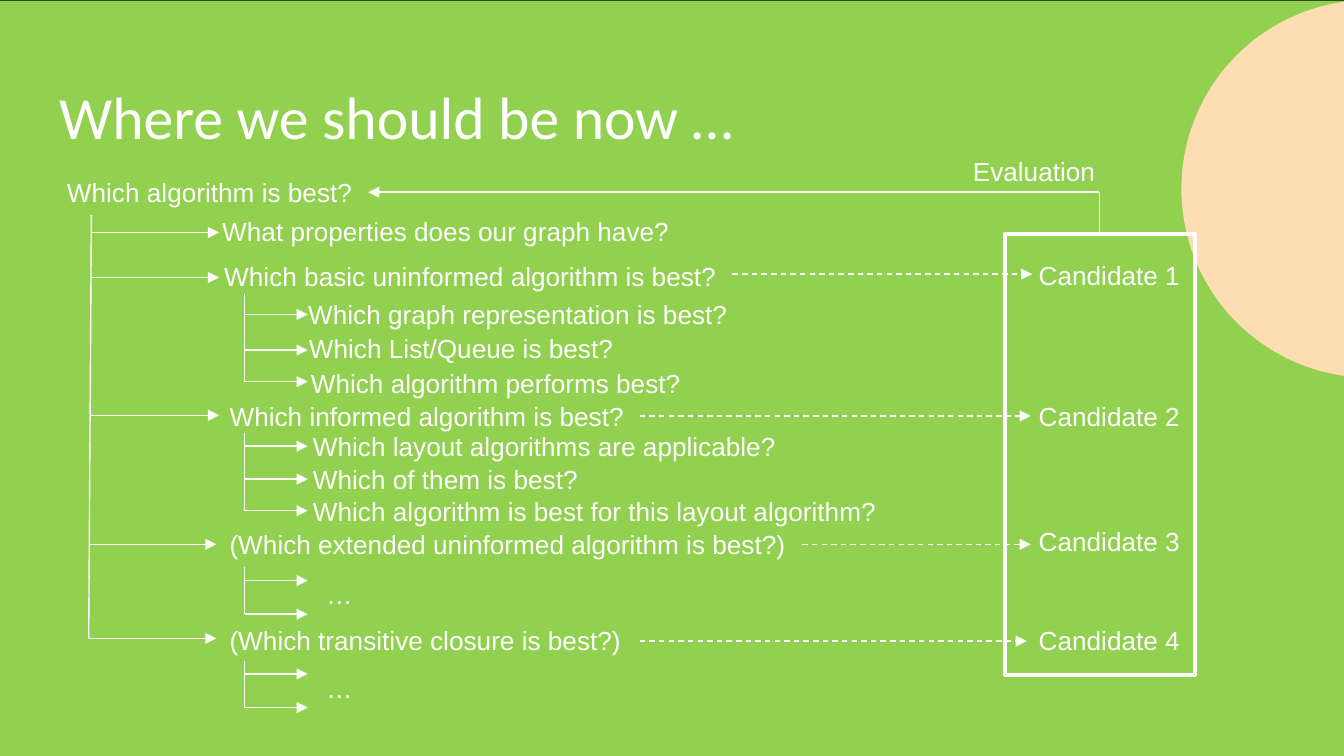
from lxml import etree
from pptx import Presentation
from pptx import util as u
from pptx.dml.color import RGBColor
from pptx.enum import dml, shapes, text
from pptx.oxml.ns import qn

PX = 4572  # EMU per px, at 200 px to the inch
COLORS = {"green": "92D050", "peach": "FFDDB3", "white": "FFFFFF", "black": "000000"}

WIDTH, HEIGHT = 2000, 1125
TRUNK_TOP, TRUNK_BOTTOM = (136, 320), (132, 950)
TRUNK_ARROW_LENGTH = 190
BRANCH_LEFT, BRANCH_RIGHT = 364, 458
TEXT_HEIGHT = 68

# Text, left, top, width
LABELS = [
    ("Which algorithm is best?", 80, 253, 468),
    ("What properties does our graph have?", 311, 310, 708),
    ("Which basic uninformed algorithm is best?", 314, 377, 776),
    ("Which graph representation is best?", 439, 434, 666),
    ("Which List/Queue is best?", 440, 485, 496),
    ("Which algorithm performs best?", 443, 537, 592),
    ("Which informed algorithm is best?", 322, 586, 630),
    ("Which layout algorithms are applicable?", 446, 631, 732),
    ("Which of them is best?", 446, 680, 436),
    ("Which algorithm is best for this layout algorithm?", 446, 728, 882),
    ("(Which extended uninformed algorithm is best?)", 322, 777, 872),
    ("…", 466, 851, 80),
    ("(Which transitive closure is best?)", 322, 920, 626),
    ("…", 466, 991, 80),
    ("Evaluation", 1428, 222, 224),
]
# Left and y of each arrow from the trunk
TRUNK_ARROWS = [(136, 346), (136, 413), (136, 618), (132, 810), (132, 950)]
# Top of each sub-branch and the y of its arrows; the last arrow ends it
SUB_BRANCHES = [
    (438, [468, 521, 568]),
    (644, [664, 713, 760]),
    (844, [864, 914]),
    (984, [1003, 1053]),
]
# Top of each candidate label, then its dashed arrow: start, end, y
CANDIDATES = [
    (376, 1090, 1536, 408),
    (586, 952, 1534, 619),
    (772, 1194, 1534, 810),
    (919, 952, 1528, 954),
]


def px(*lengths):
    return [u.Emu(length * PX) for length in lengths]


def color(name):
    return RGBColor.from_string(COLORS[name])


def write_text(frame, content, font="Arial", size=14, fill="white"):
    paragraph = frame.paragraphs[0]
    paragraph.alignment = text.PP_ALIGN.LEFT
    run = paragraph.add_run()
    run.text = content
    run.font.name = font
    run.font.size = u.Pt(size)
    run.font.color.rgb = color(fill)


def add_title(slide, content):
    title = slide.shapes.title
    title.left, title.top, title.width, title.height = px(68, 98, 1864, 126)
    frame = title.text_frame
    frame.margin_left = frame.margin_right = frame.margin_top = frame.margin_bottom = px(20)[0]
    frame.vertical_anchor = text.MSO_ANCHOR.TOP
    frame.auto_size = text.MSO_AUTO_SIZE.NONE
    write_text(frame, content, font="Calibri", size=32)


def add_label(slide, content, left, top, width):
    frame = slide.shapes.add_textbox(*px(left, top, width, TEXT_HEIGHT)).text_frame
    frame.word_wrap = False
    frame.auto_size = text.MSO_AUTO_SIZE.SHAPE_TO_FIT_TEXT
    write_text(frame, content)


def add_block(slide, kind, box, fill=None, line=None):
    shape = slide.shapes.add_shape(kind, *px(*box))
    shape.shadow.inherit = False
    if fill:
        shape.fill.solid()
        shape.fill.fore_color.rgb = color(fill)
    else:
        shape.fill.background()
    if line:
        shape.line.color.rgb = color(line)
        shape.line.width = u.Pt(2)
    else:
        shape.line.fill.background()


def add_line(slide, start, end, arrow=False, dashed=False):
    connector = slide.shapes.add_connector(shapes.MSO_CONNECTOR.STRAIGHT, *px(*start, *end))
    connector.line.color.rgb = color("white")
    connector.line.width = u.Pt(0.75)
    if dashed:
        connector.line.dash_style = dml.MSO_LINE.DASH
    properties = connector._element.spPr
    if arrow:
        etree.SubElement(properties.find(qn("a:ln")), qn("a:tailEnd"), type="triangle")
    etree.SubElement(properties, qn("a:effectLst"))


def add_sub_branch(slide, top, arrow_rows):
    add_line(slide, (BRANCH_LEFT, top), (BRANCH_LEFT, arrow_rows[-1]))
    for y in arrow_rows:
        add_line(slide, (BRANCH_LEFT, y), (BRANCH_RIGHT, y), arrow=True)


def main():
    presentation = Presentation()
    presentation.slide_width, presentation.slide_height = px(WIDTH, HEIGHT)
    slide = presentation.slides.add_slide(presentation.slide_layouts[5])
    rectangle, oval = shapes.MSO_SHAPE.RECTANGLE, shapes.MSO_SHAPE.OVAL

    # Backdrop, kept behind the title
    add_block(slide, rectangle, (0, 0, WIDTH, HEIGHT), line="black")
    add_block(slide, rectangle, (-130, 1, 2170, HEIGHT - 1), fill="green")
    add_block(slide, oval, (1758, 0, 562, 562), fill="peach")
    tree = slide.shapes._spTree
    tree.append(slide.shapes.title._element)
    add_title(slide, "Where we should be now …")

    # Question tree
    for label in LABELS:
        add_label(slide, *label)
    add_line(slide, TRUNK_TOP, TRUNK_BOTTOM)
    for left, y in TRUNK_ARROWS:
        add_line(slide, (left, y), (left + TRUNK_ARROW_LENGTH, y), arrow=True)
    for top, arrow_rows in SUB_BRANCHES:
        add_sub_branch(slide, top, arrow_rows)

    # Candidates and their frame
    for number, (top, start, end, y) in enumerate(CANDIDATES, 1):
        add_line(slide, (start, y), (end, y), arrow=True, dashed=True)
        add_label(slide, f"Candidate {number}", 1526, top, 252)
    add_block(slide, rectangle, (1496, 348, 282, 656), line="white")

    # Evaluation loop back to the main question
    add_line(slide, (1636, 286), (1636, 348))
    add_line(slide, (1636, 286), (548, 286), arrow=True)

    presentation.save("out.pptx")


if __name__ == "__main__":
    main()
